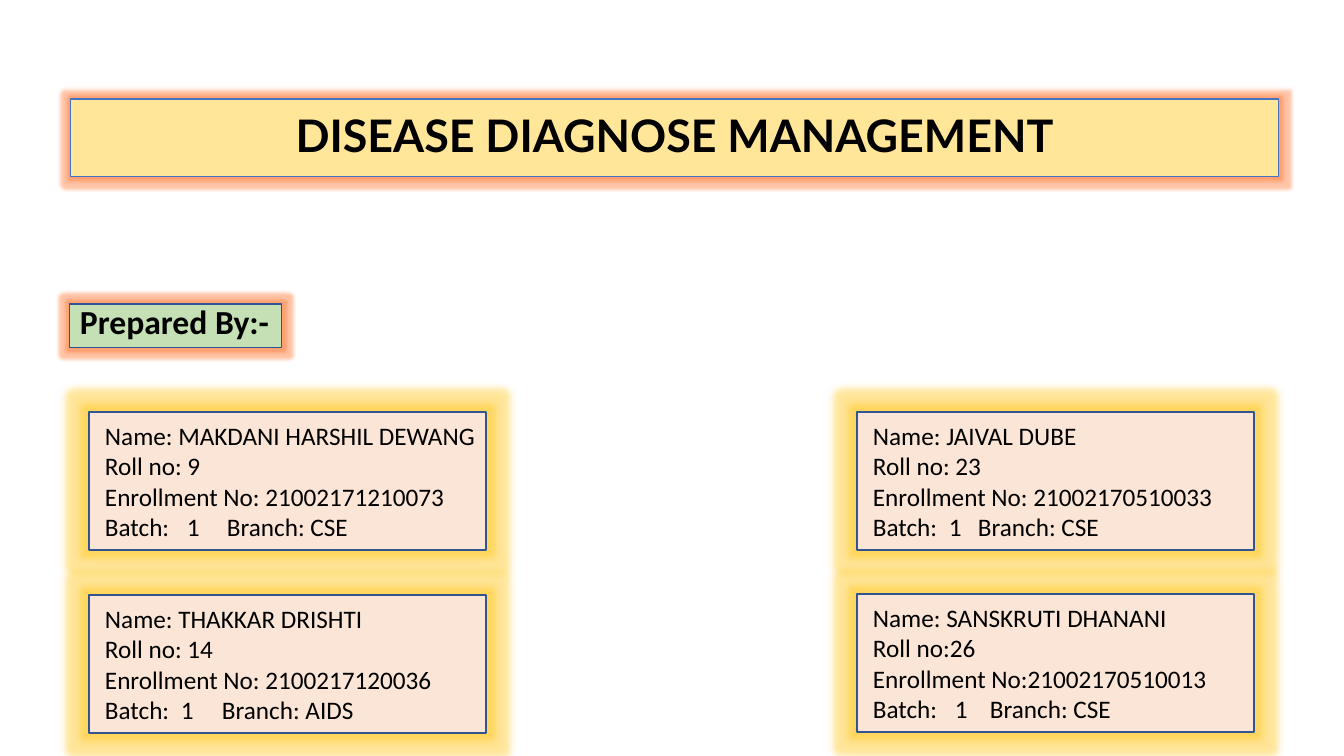
import pptx
import pptx.util
import pptx.dml.color
import pptx.enum.shapes
import pptx.enum.text
import pptx.oxml.ns
from lxml import etree

RGBColor = pptx.dml.color.RGBColor
Align = pptx.enum.text.PP_ALIGN
Anchor = pptx.enum.text.MSO_ANCHOR
qn = pptx.oxml.ns.qn

BLACK = RGBColor(0x00, 0x00, 0x00)
YELLOW = RGBColor(0xFF, 0xE6, 0x99)
GREEN = RGBColor(0xC5, 0xE0, 0xB4)
PEACH = RGBColor(0xFB, 0xE5, 0xD6)
BLUE = RGBColor(0x44, 0x72, 0xC4)
DARK_BLUE = RGBColor(0x2F, 0x55, 0x97)
CARD_BLUE = RGBColor(0x32, 0x54, 0x91)
ORANGE_GLOW = RGBColor(0xFF, 0x6B, 0x1F)
GOLD_GLOW = RGBColor(0xFF, 0xC0, 0x00)
PIXEL = 914400 / 100.8


def px(value):
    return round(value * PIXEL)


def add_box(bounds, fill, outline, outline_width, glow, radius, anchor, lines,
            size, font, bold=False, align=Align.LEFT, spacing=1.0, inset=10):
    """Add a glowing rectangle with one paragraph per line of text."""
    shape = slide.shapes.add_shape(
        pptx.enum.shapes.MSO_SHAPE.RECTANGLE, *[px(value) for value in bounds])
    shape.fill.solid()
    shape.fill.fore_color.rgb = fill
    shape.line.color.rgb = outline
    shape.line.width = pptx.util.Pt(outline_width)

    # Glow
    shape.shadow.inherit = False
    effects = shape.element.spPr.find(qn("a:effectLst"))
    halo = etree.SubElement(effects, qn("a:glow"), rad=str(pptx.util.Pt(radius)))
    color = etree.SubElement(halo, qn("a:srgbClr"), val=str(glow))
    etree.SubElement(color, qn("a:alpha"), val="40000")

    # Text
    frame = shape.text_frame
    frame.word_wrap = True
    frame.vertical_anchor = anchor
    frame.margin_left, frame.margin_right = px(inset), px(5)
    frame.margin_top = frame.margin_bottom = px(5)
    for index, line in enumerate(lines):
        paragraph = frame.add_paragraph() if index else frame.paragraphs[0]
        paragraph.alignment = align
        paragraph.line_spacing = spacing
        run = paragraph.add_run()
        run.text = line
        run.font.size = pptx.util.Pt(size)
        run.font.name = font
        run.font.bold = bold
        run.font.color.rgb = BLACK
    return shape


presentation = pptx.Presentation()
presentation.slide_width = px(1344)
presentation.slide_height = px(756)
slide = presentation.slides.add_slide(presentation.slide_layouts[6])

# Title and subtitle
add_box((71, 99, 1208, 78), YELLOW, BLUE, 0.75, ORANGE_GLOW, 5, Anchor.MIDDLE,
        ["DISEASE DIAGNOSE MANAGEMENT"], 32, "Lato", True, Align.CENTER, 0.9, 5)
add_box((70, 304, 212, 44), GREEN, DARK_BLUE, 0.75, ORANGE_GLOW, 5, Anchor.TOP,
        ["Prepared By:-"], 24, "Calibri", True, spacing=0.8)

# Student cards: left, top, details, tab stops of the batch line
cards = [
    (89, 412, ["Name: MAKDANI HARSHIL DEWANG", "Roll no: 9",
               "Enrollment No: 21002171210073", "Batch:\t1\tBranch: CSE"], (82, 122)),
    (857, 412, ["Name: JAIVAL DUBE", "Roll no: 23",
                "Enrollment No: 21002170510033", "Batch:\t1\tBranch: CSE"], (76, 105)),
    (89, 595, ["Name: THAKKAR DRISHTI", "Roll no: 14",
               "Enrollment No: 2100217120036", "Batch:\t1\tBranch: AIDS"], (76, 117)),
    (857, 594, ["Name: SANSKRUTI DHANANI", "Roll no:26",
                "Enrollment No:21002170510013", "Batch:\t1\tBranch: CSE"], (82, 117)),
]
for left, top, details, stops in cards:
    card = add_box((left, top, 397, 138), PEACH, CARD_BLUE, 1, GOLD_GLOW, 11,
                   Anchor.MIDDLE, details, 18, "Calibri", inset=16)
    batch = card.text_frame.paragraphs[-1]
    tabs = etree.SubElement(batch._p.get_or_add_pPr(), qn("a:tabLst"))
    for stop in stops:
        etree.SubElement(tabs, qn("a:tab"), pos=str(px(stop)), algn="l")

presentation.save("out.pptx")
